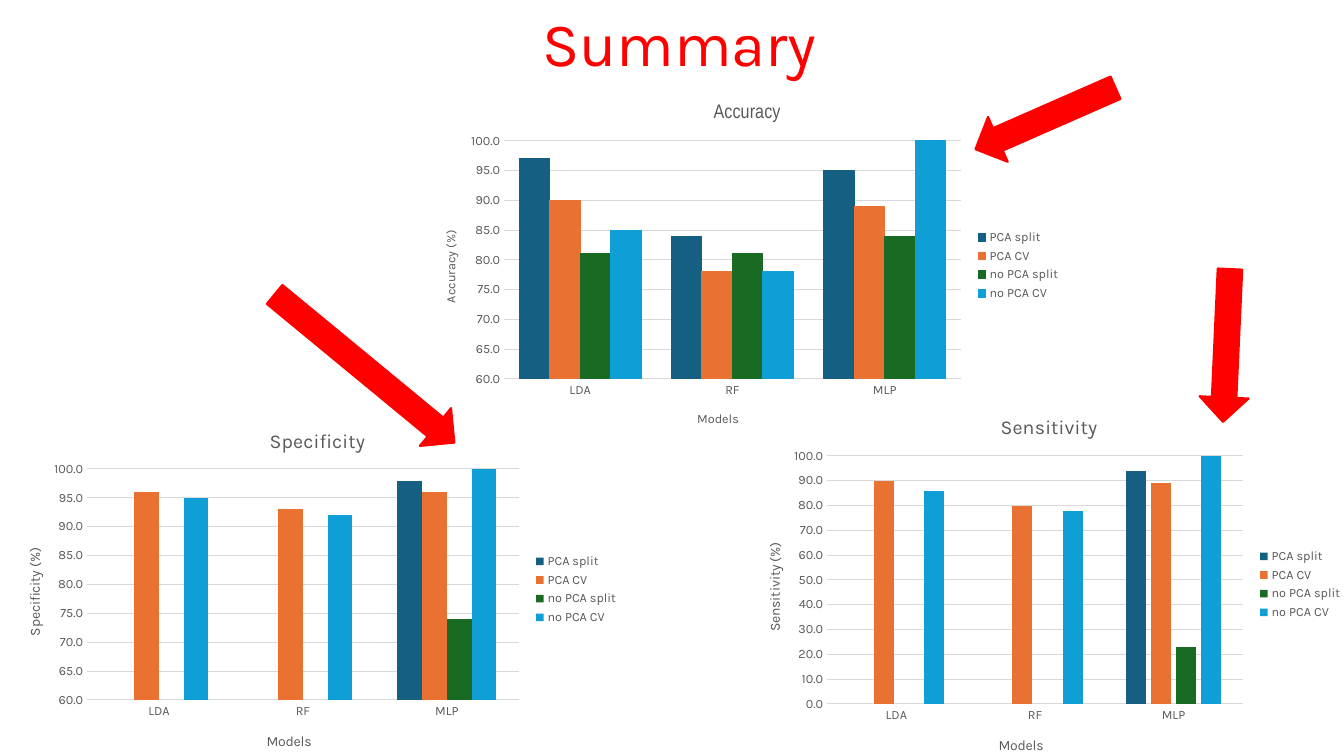
from lxml.etree import SubElement
from pptx import Presentation
from pptx.chart.data import CategoryChartData as Data
from pptx.dml.color import RGBColor as Rgb
from pptx.enum.chart import XL_CHART_TYPE as Kind, XL_LEGEND_POSITION as Side
from pptx.enum.chart import XL_TICK_MARK as Tick
from pptx.enum.shapes import MSO_SHAPE as Form
from pptx.enum.text import MSO_ANCHOR as Anchor, PP_ALIGN as Align
from pptx.oxml.ns import qn
from pptx.util import Emu, Pt

HUES = {"red": "FF0000", "gray": "595959", "grid": "D9D9D9", "black": "000000",
        "PCA split": "156082", "PCA CV": "E97132",
        "no PCA split": "196B24", "no PCA CV": "0F9ED5"}
FONT = "Karla"
MODELS = ("LDA", "RF", "MLP")

PLOTS = [
    dict(name="Accuracy", box=(417, 84, 653, 361), area=(504, 141, 457, 238),
         spots=[(710, 98), (695, 408), (440, 228)], key=(974, 226),
         face="Arial Narrow", size=9, low=60, step=5, gap=100, edge=True,
         rows=[(97, 84, 95), (90, 78, 89), (81, 81, 84), (85, 78, 100)]),
    dict(name="Specificity", box=(0, 407, 628, 361), area=(87, 469, 432, 231),
         spots=[(266, 425), (264, 730), (23, 545)], key=(532, 550), gap=182,
         low=60, step=5,
         rows=[(None, None, 98), (96, 93, 96), (None, None, 74), (95, 92, 100)]),
    dict(name="Sensitivity", box=(740, 393, 613, 378), area=(827, 456, 416, 248),
         spots=[(997, 411), (996, 734), (763, 540)], key=(1256, 545), gap=219,
         lap=-27,
         rows=[(None, None, 94), (90, 80, 89), (None, None, 23), (86, 78, 100)]),
]

ARROWS = [((248, 344, 233, 49), 39.5),
          ((969, 94, 153, 49), 156.3),
          ((1150, 321, 153, 49), 92.6)]


def px(n):
    return Emu(round(n * 914400 / 100.8))


def hue(name):
    return Rgb.from_string(HUES[name])


def style(font, size, color="gray", face=FONT):
    font.size = Pt(size)
    font.name = face
    font.bold = False
    font.color.rgb = hue(color)


def write(frame, text, align=Align.CENTER, space=None, **look):
    para = frame.paragraphs[0]
    para.alignment = align
    para.line_spacing = space
    run = para.add_run()
    run.text = text
    style(run.font, **look)


def stroke(line, color, width=0.75):
    line.color.rgb = hue(color)
    line.width = Pt(width)


def place(node, index, box, spot):
    plan = node.find(qn("c:layout"))
    if plan is None:
        plan = SubElement(node, qn("c:layout"))
        node.insert(index, plan)
    manual = SubElement(plan, qn("c:manualLayout"))
    left, top, wide, high = box
    vals = [("xMode", "edge"), ("yMode", "edge"),
            ("x", (spot[0] - left) / wide), ("y", (spot[1] - top) / high)]
    if len(spot) == 4:
        vals = [("layoutTarget", "inner"), *vals,
                ("w", spot[2] / wide), ("h", spot[3] / high)]
    for tag, val in vals:
        text = val if isinstance(val, str) else f"{val:.4f}"
        SubElement(manual, qn(f"c:{tag}")).set("val", text)


def axes(chart, name, size, low, step):
    base, scale = chart.category_axis, chart.value_axis
    for axis, text in ((base, "Models"), (scale, f"{name} (%)")):
        axis.major_tick_mark = axis.minor_tick_mark = Tick.NONE
        style(axis.tick_labels.font, 9)
        write(axis.axis_title.text_frame, text, size=size)
    stroke(base.format.line, "grid")
    scale.format.line.fill.background()
    stroke(scale.major_gridlines.format.line, "grid")
    scale.minimum_scale, scale.maximum_scale = low, 100
    scale.major_unit = step
    scale.tick_labels.number_format = "0.0"
    scale.tick_labels.number_format_is_linked = False


def graph(slide, name, box, area, spots, key, rows, gap, face=FONT, size=10,
          low=0, step=10, lap=0, edge=False):
    data = Data(number_format="0.0")
    data.categories = MODELS
    for label, row in zip(list(HUES)[4:], rows):
        data.add_series(label, row)
    chart = slide.shapes.add_chart(
        Kind.COLUMN_CLUSTERED, *map(px, box), data).chart
    style(chart.font, 10, "black")
    chart.has_title = True
    write(chart.chart_title.text_frame, name, size=14, face=face)
    axes(chart, name, size, low, step)

    plot = chart.plots[0]
    plot.gap_width, plot.overlap = gap, lap
    plot.vary_by_categories = False
    for bar in plot.series:
        bar.format.fill.solid()
        bar.format.fill.fore_color.rgb = hue(bar.name)
        if edge:
            stroke(bar.format.line, bar.name)

    chart.has_legend = True
    chart.legend.position = Side.RIGHT
    chart.legend.include_in_layout = False
    style(chart.legend.font, 9)

    root = chart.element
    titles = list(root.iter(qn("c:title")))
    for title, spot in zip(titles, spots):
        place(title, 1, box, spot)
    body = next(titles[2].iter(qn("a:bodyPr")))
    body.set("rot", "-5400000")
    body.set("vert", "horz")
    place(next(root.iter(qn("c:plotArea"))), 0, box, area)
    place(next(root.iter(qn("c:legend"))), 1, box, key)


def arrow(slide, box, turn):
    shape = slide.shapes.add_shape(Form.RIGHT_ARROW, *map(px, box))
    shape.rotation = turn
    shape.shadow.inherit = False
    shape.fill.solid()
    shape.fill.fore_color.rgb = hue("red")
    stroke(shape.line, "red", 1.5)


def head(slide, text, box):
    frame = slide.shapes.add_textbox(*map(px, box)).text_frame
    frame.word_wrap = True
    frame.vertical_anchor = Anchor.MIDDLE
    write(frame, text, space=0.9, size=44, color="red")


def main():
    deck = Presentation()
    deck.slide_width, deck.slide_height = px(1344), px(756)
    slide = deck.slides.add_slide(deck.slide_layouts[6])
    head(slide, "Summary", (100, -26, 1159, 146))
    for plot in PLOTS:
        graph(slide, **plot)
    for box, turn in ARROWS:
        arrow(slide, box, turn)
    deck.save("out.pptx")


if __name__ == "__main__":
    main()
